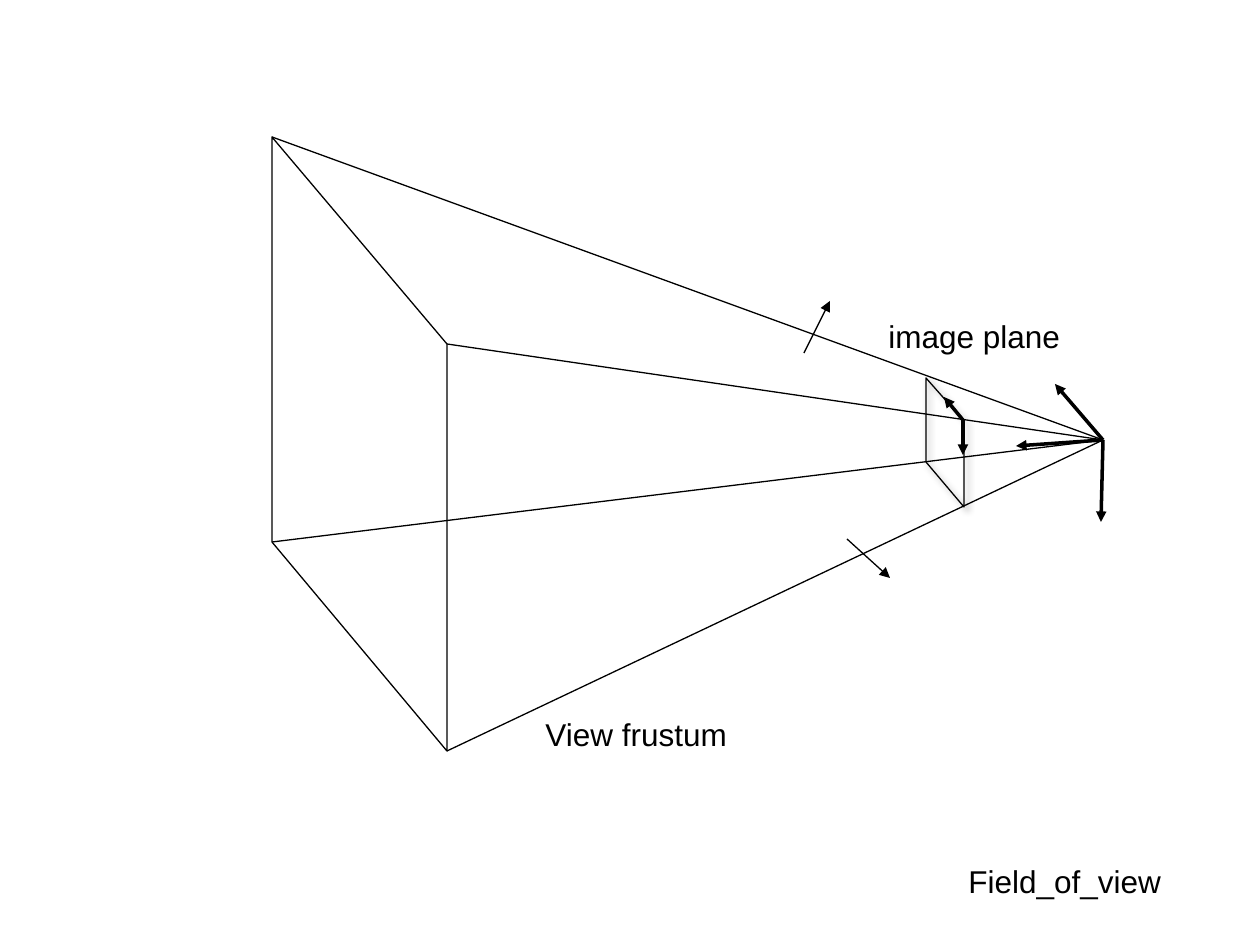
from lxml import etree
from pptx import Presentation
from pptx.dml.color import RGBColor
from pptx.enum.shapes import MSO_CONNECTOR as Connector
from pptx.enum.text import MSO_AUTO_SIZE as AutoSize
from pptx.oxml import parse_xml
from pptx.oxml.ns import nsdecls, qn
from pptx.util import Emu, Pt

PX = 914400 / 126
BLACK = RGBColor(0, 0, 0)
THIN, THICK = Pt(0.75), Pt(2)

deck = Presentation()
deck.slide_width, deck.slide_height = Emu(round(1260 * PX)), Emu(round(945 * PX))
page = deck.slides.add_slide(deck.slide_layouts[6])


def add_line(start, end, width=THIN, arrow=False):
    ends = [Emu(round(value * PX)) for value in (*start, *end)]
    line = page.shapes.add_connector(Connector.STRAIGHT, *ends)
    line.line.color.rgb = BLACK
    line.line.width = width
    if arrow:
        outline = line.line._get_or_add_ln()
        etree.SubElement(outline, qn("a:tailEnd"), type="triangle")
    etree.SubElement(line._element.spPr, qn("a:effectLst"))


def add_plane(corners):
    builder = page.shapes.build_freeform(*corners[0], scale=PX)
    builder.add_line_segments(corners[1:], close=True)
    plane = builder.convert_to_shape()
    plane.shadow.inherit = False
    plane.fill.background()
    plane.line.color.rgb = BLACK
    plane.line.width = THIN
    return plane


# Image plane with a soft shadow
image_plane = add_plane([(964, 507), (926, 462), (926, 378), (964, 421)])
effects = image_plane._element.spPr.find(qn("a:effectLst"))
effects.append(parse_xml(
    f'<a:outerShdw {nsdecls("a")} blurRad="{Pt(4)}" dist="{Pt(3)}" dir="2700000">'
    '<a:srgbClr val="000000"><a:alpha val="40000"/></a:srgbClr></a:outerShdw>'))

# Far plane and the four edges that meet at the camera
camera = (1103, 440)
far_corners = [(447, 751), (272, 542), (272, 137), (447, 344)]
add_plane(far_corners)
for corner in far_corners:
    add_line(camera, corner)

# Labels
for text, left, top, width, height in [
    ("Field_of_view", 956, 856, 219, 89),
    ("image plane", 876, 311, 199, 50),
    ("View frustum", 533, 709, 209, 50),
]:
    place = [Emu(round(value * PX)) for value in (left, top, width, height)]
    box = page.shapes.add_textbox(*place)
    frame = box.text_frame
    frame.word_wrap = False
    frame.auto_size = AutoSize.SHAPE_TO_FIT_TEXT
    frame.text = text
    font = frame.paragraphs[0].runs[0].font
    font.name, font.size = "Arial", Pt(18)
    font.color.rgb = BLACK

# Normals of the frustum sides
for start, end in [((804, 353), (830, 301)), ((847, 539), (890, 578))]:
    add_line(start, end, arrow=True)

# Axes of the camera and of the image plane
image_origin = (963, 420)
for origin, tips in [
    (camera, [(1055, 384), (1016, 446), (1101, 522)]),
    (image_origin, [(944, 397), (963, 455)]),
]:
    for tip in tips:
        add_line(origin, tip, THICK, arrow=True)

deck.save("out.pptx")
